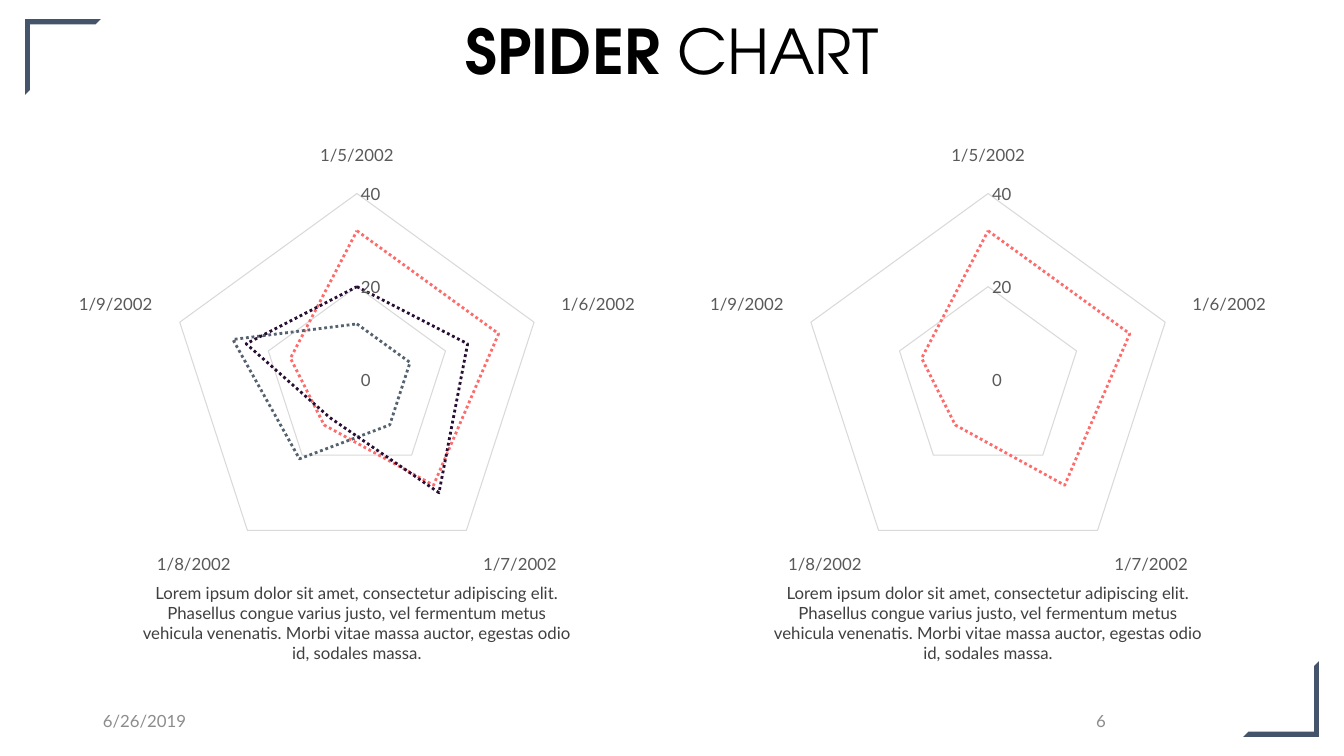
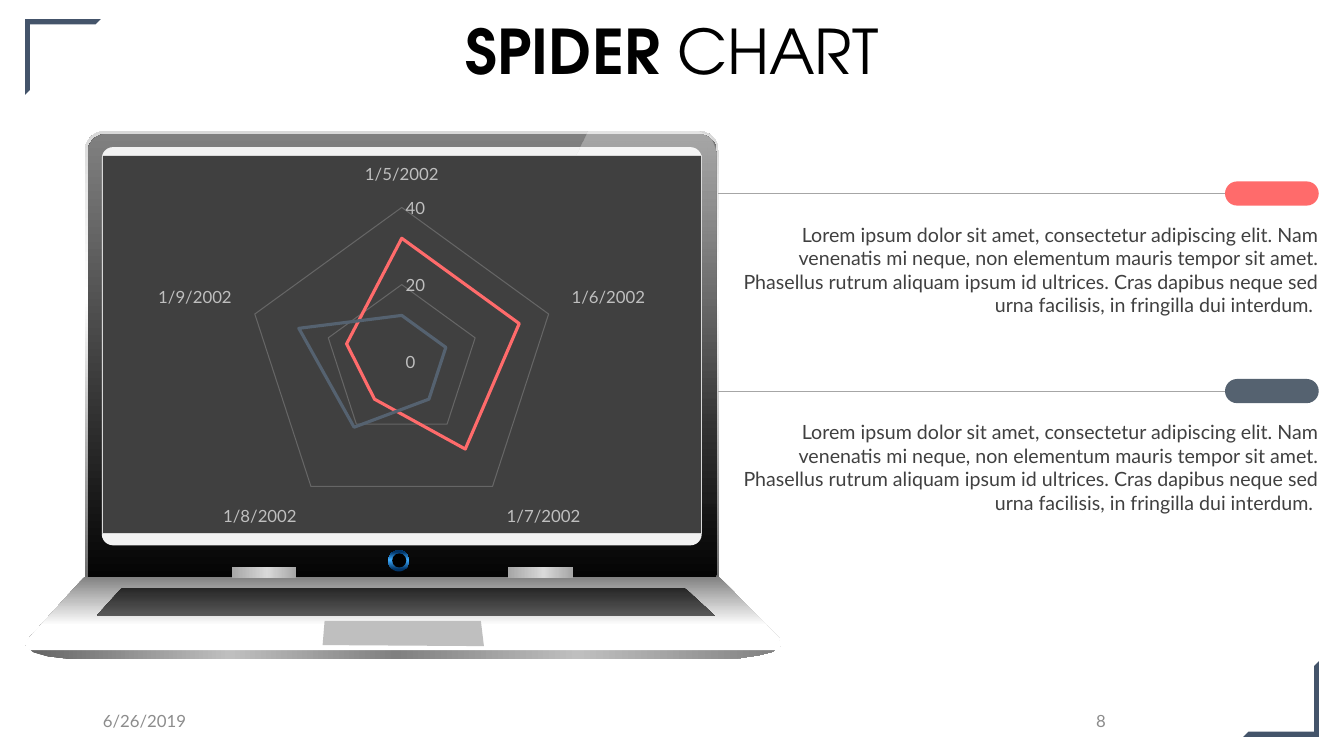
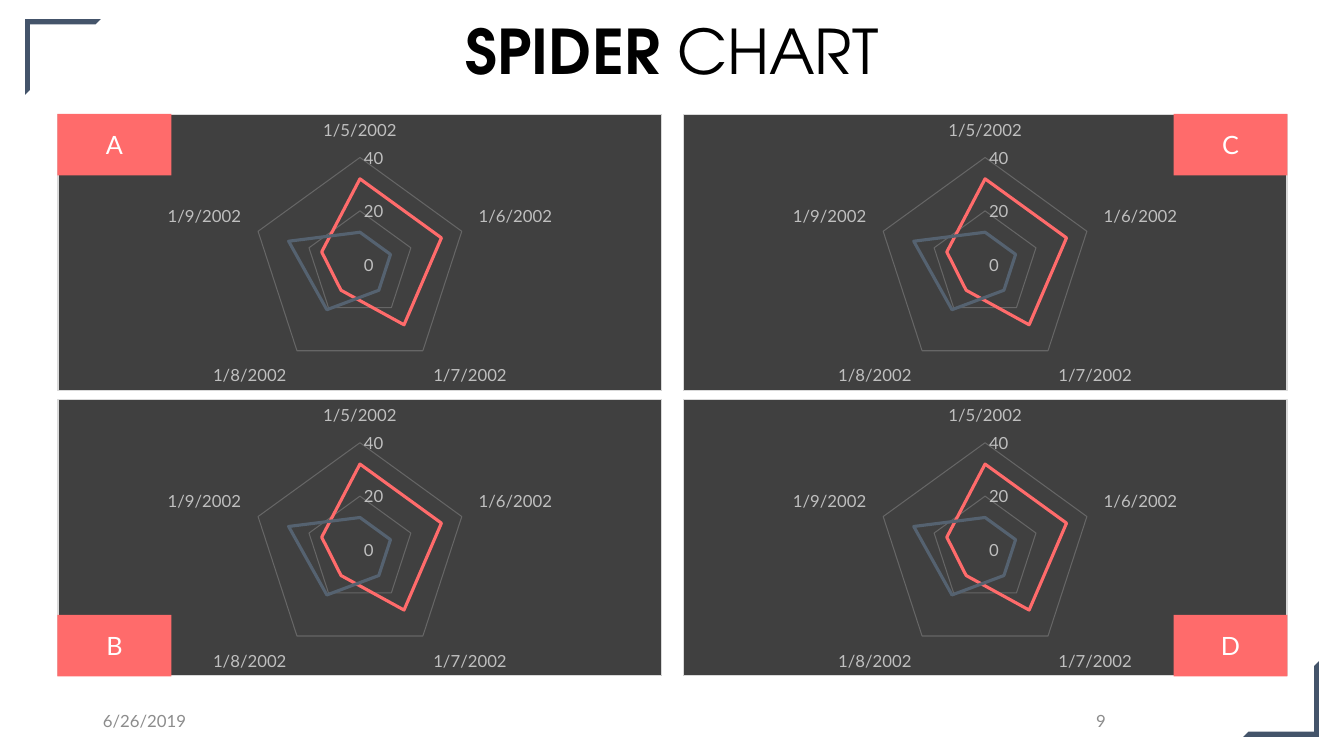
from lxml.etree import SubElement
from pptx import Presentation
from pptx.chart.data import CategoryChartData
from pptx.dml.color import RGBColor
from pptx.enum.chart import XL_CHART_TYPE, XL_TICK_MARK
from pptx.enum.dml import MSO_LINE
from pptx.enum.shapes import MSO_CONNECTOR, MSO_SHAPE
from pptx.enum.text import PP_ALIGN
from pptx.oxml import parse_xml
from pptx.oxml.ns import nsdecls, qn
from pptx.util import Inches, Pt

rgb = RGBColor.from_string
CORAL, SLATE, PLUM = "FF6B6B", "556270", "280E32"
NAVY, CHARCOAL, GREY, SILVER = "44546A", "404040", "8C8C8C", "BFBFBF"
RULE, PALE, WHITE, BLACK = "A6A6A6", "D9D9D9", "FFFFFF", "000000"
BODY_FONT, TITLE_FONT = "Lato", "TeX Gyre Adventor"
LEFT, CENTER, RIGHT = PP_ALIGN.LEFT, PP_ALIGN.CENTER, PP_ALIGN.RIGHT


def paint(shape, fill):
    """Fill with a hex colour, or a gradient: (angle, (position, colour, opacity)...)."""
    shape.shadow.inherit = False
    shape.line.fill.background()
    if isinstance(fill, str):
        shape.fill.solid()
        shape.fill.fore_color.rgb = rgb(fill)
        return
    angle, *stops = fill
    shape.fill.gradient()
    shape.fill.gradient_angle = angle
    stop_list = shape._element.spPr.find(qn("a:gradFill")).find(qn("a:gsLst"))
    for old in list(stop_list):
        stop_list.remove(old)
    for position, color, *opacity in stops:
        stop = SubElement(stop_list, qn("a:gs"), pos=str(position * 1000))
        clr = SubElement(stop, qn("a:srgbClr"), val=color)
        for value in opacity:
            SubElement(clr, qn("a:alpha"), val=str(value * 1000))


def write(shape, text, size, color, align, bold="", font=BODY_FONT):
    """Put text in a shape without margins, after an optional bold opening."""
    tf = shape.text_frame
    tf.word_wrap = True
    tf.margin_left = tf.margin_right = tf.margin_top = tf.margin_bottom = 0
    p = tf.paragraphs[0]
    p.alignment = align
    for part in filter(None, (bold, text)):
        r = p.add_run()
        r.text = part
        r.font.name, r.font.size = font, Pt(size)
        r.font.bold = part == bold
        r.font.color.rgb = rgb(color)


prs = Presentation()
prs.slide_width, prs.slide_height = Inches(13.33), Inches(7.5)

# Shared frame: title, footer and corner marks
slides = []
for number in ("6", "8", "9"):
    s = prs.slides.add_slide(prs.slide_layouts[6])
    slides.append(s)
    title = s.shapes.add_textbox(Inches(0.33), Inches(0.13), Inches(12.67), Inches(0.74))
    write(title, "CHART", 44, BLACK, CENTER, bold="SPIDER ", font=TITLE_FONT)
    for x, text, align in ((1.02, "6/26/2019", LEFT), (9.52, number, CENTER)):
        footer = s.shapes.add_textbox(Inches(x), Inches(7.05), Inches(2.8), Inches(0.2))
        write(footer, text, 12, GREY, align)
    for x, y, turn in ((0.25, 0.19, 0), (12.33, 6.56, 180)):
        corner = s.shapes.add_shape(MSO_SHAPE.HALF_FRAME, Inches(x), Inches(y),
                                    Inches(0.75), Inches(0.75))
        corner.adjustments[0], corner.adjustments[1] = 0.068, 0.062
        corner.rotation = turn
        paint(corner, NAVY)
radar_slide, laptop_slide, grid_slide = slides

# Laptop: presets are (kind, corner, box, fill), outlines are (points, fill)
ROUND, RECT, OVAL = MSO_SHAPE.ROUNDED_RECTANGLE, MSO_SHAPE.RECTANGLE, MSO_SHAPE.OVAL
hinge = (0, (0, RULE), (55, PALE), (100, RULE))
laptop_parts = [
    (ROUND, 0.042, (0.84, 1.3, 6.29, 4.81),
     (90, (0, "595959"), (66, WHITE), (100, PALE))),
    (ROUND, 0.04, (0.87, 1.33, 6.24, 4.55), (90, (0, BLACK), (100, "808080"))),
    (ROUND, 0.028, (1.01, 1.46, 5.95, 3.95), "F2F2F2"),
    ([(0.28, 6.41), (7.65, 6.41), (7.74, 6.34), (7.13, 5.72), (0.84, 5.72), (0.27, 6.35)],
     (270, (0, "808080"), (34, SILVER), (70, WHITE), (100, WHITE))),
    ([(0.25, 6.4), (7.75, 6.41), (7.65, 6.47), (7.53, 6.5), (7.33, 6.53), (7.13, 6.54),
      (0.84, 6.54), (0.64, 6.53), (0.47, 6.51), (0.33, 6.47)],
     (0, (0, "626262"), (27, SILVER), (49, "808080"), (73, SILVER), (100, "808080"))),
    (OVAL, None, (3.85, 5.46, 0.21, 0.21),
     (90, (11, "003366"), (55, "3FADFF"), (92, "003366"))),
    (OVAL, None, (3.89, 5.49, 0.14, 0.14), BLACK),
    (RECT, None, (2.3, 5.62, 0.64, 0.11), hinge),
    (RECT, None, (5.04, 5.62, 0.64, 0.11), hinge),
    ([(1.21, 5.83), (6.79, 5.83), (7.09, 6.11), (0.96, 6.11)],
     (270, (0, "262626"), (100, "595959"))),
    (ROUND, 0.5, (0.25, 6.33, 7.5, 0.12), WHITE),
    ([(3.22, 6.16), (4.77, 6.16), (4.8, 6.41), (3.2, 6.4)], SILVER),
    ([(5.83, 1.31), (6.93, 1.31), (7.05, 1.36), (7.11, 1.52), (7.11, 4.99), (4.11, 4.96)],
     (90, (21, WHITE, 1), (100, WHITE, 30))),
]
for *outline, fill in laptop_parts:
    if len(outline) == 1:
        points = [(Inches(x), Inches(y)) for x, y in outline[0]]
        builder = laptop_slide.shapes.build_freeform(*points[0])
        builder.add_line_segments(points[1:], close=True)
        part = builder.convert_to_shape()
    else:
        kind, corner, box = outline
        part = laptop_slide.shapes.add_shape(kind, *map(Inches, box))
        if corner:
            part.adjustments[0] = corner
    paint(part, fill)

# Radar charts: slide, box, number of series, dark panel
series = [
    ("Series 1", (32, 32, 28, 12, 15), CORAL),
    ("Series 2", (12, 12, 12, 21, 28), SLATE),
    ("Series 3", (20, 25, 30, 10, 25), PLUM),
]
radars = [
    (radar_slide, (0.54, 1.35, 6, 4.43), 3, False),
    (radar_slide, (6.8, 1.35, 6, 4.43), 1, False),
    (laptop_slide, (1.01, 1.54, 5.95, 3.76), 2, True),
]
radars += [(grid_slide, (0.57 + 6.2 * col, 1.13 + 2.83 * row, 6, 2.75), 2, True)
           for col in range(2) for row in range(2)]
for s, box, count, dark in radars:
    data = CategoryChartData()
    data.categories = [f"1/{day}/2002" for day in range(5, 10)]
    for name, values, color in series[:count]:
        data.add_series(name, values)
    chart = s.shapes.add_chart(XL_CHART_TYPE.RADAR, *map(Inches, box), data).chart
    chart.has_title = chart.has_legend = False
    chart.font.name, chart.font.size = BODY_FONT, Pt(12)
    chart.font.color.rgb = rgb(SILVER if dark else "595959")

    for axis in (chart.category_axis, chart.value_axis):
        axis.major_tick_mark = axis.minor_tick_mark = XL_TICK_MARK.NONE
        axis.format.line.fill.background()
    chart.category_axis.has_major_gridlines = False
    values_axis = chart.value_axis
    values_axis.minimum_scale, values_axis.maximum_scale = 0, 40
    values_axis.major_unit = 20
    grid = values_axis.major_gridlines.format.line
    grid.width = Pt(0.75)
    grid.color.rgb = rgb("666666" if dark else PALE)

    for ser, (name, values, color) in zip(chart.plots[0].series, series):
        ser.smooth = False
        line = ser.format.line
        line.color.rgb = rgb(color)
        line.width = Pt(2.25 if dark else 2)
        if not dark:
            line.dash_style = MSO_LINE.ROUND_DOT

    panel = "<a:noFill/><a:ln><a:noFill/></a:ln>"
    if dark:
        panel = (f'<a:solidFill><a:srgbClr val="{CHARCOAL}"/></a:solidFill><a:ln w="9525">'
                 f'<a:solidFill><a:srgbClr val="{PALE}"/></a:solidFill></a:ln>')
    area = parse_xml(f'<c:spPr {nsdecls("c", "a")}>{panel}</c:spPr>')
    chart._chartSpace.find(qn("c:chart")).addnext(area)

# Captions under the two radars
caption_text = ("Lorem ipsum dolor sit amet, consectetur adipiscing elit. Phasellus congue varius "
                "justo, vel fermentum metus vehicula venenatis. Morbi vitae massa auctor, egestas "
                "odio id, sodales massa.")
for x in (1.39, 7.65):
    caption = radar_slide.shapes.add_textbox(Inches(x), Inches(5.78), Inches(4.3), Inches(0.81))
    write(caption, caption_text, 12, CHARCOAL, CENTER)

# Legend beside the laptop
legend_text = ("Lorem ipsum dolor sit amet, consectetur adipiscing elit. Nam venenatis mi neque, "
               "non elementum mauris tempor sit amet. Phasellus rutrum aliquam ipsum id ultrices. "
               "Cras dapibus neque sed urna facilisis, in fringilla dui interdum. ")
for y, color in ((1.8, CORAL), (3.76, SLATE)):
    rule = laptop_slide.shapes.add_connector(MSO_CONNECTOR.STRAIGHT, Inches(7.12),
                                             Inches(y + 0.12), Inches(12.15), Inches(y + 0.12))
    rule.line.color.rgb = rgb(RULE)
    rule.line.width = Pt(0.5)
    SubElement(rule._element.spPr, qn("a:effectLst"))
    pill = laptop_slide.shapes.add_shape(ROUND, Inches(12.15), Inches(y),
                                         Inches(0.93), Inches(0.24))
    pill.adjustments[0] = 0.5
    paint(pill, color)
    note = laptop_slide.shapes.add_textbox(Inches(7.35), Inches(y + 0.41),
                                           Inches(5.73), Inches(0.94))
    write(note, legend_text, 14, CHARCOAL, RIGHT)

# Letter tags in the outer corners of the grid
for i, letter in enumerate("ABCD"):
    col, row = divmod(i, 2)
    tag = grid_slide.shapes.add_shape(RECT, Inches(0.57 + 11.07 * col),
                                      Inches(1.13 + 4.97 * row), Inches(1.13), Inches(0.61))
    paint(tag, CORAL)
    write(tag, letter, 18, WHITE, CENTER)

prs.save("out.pptx")
